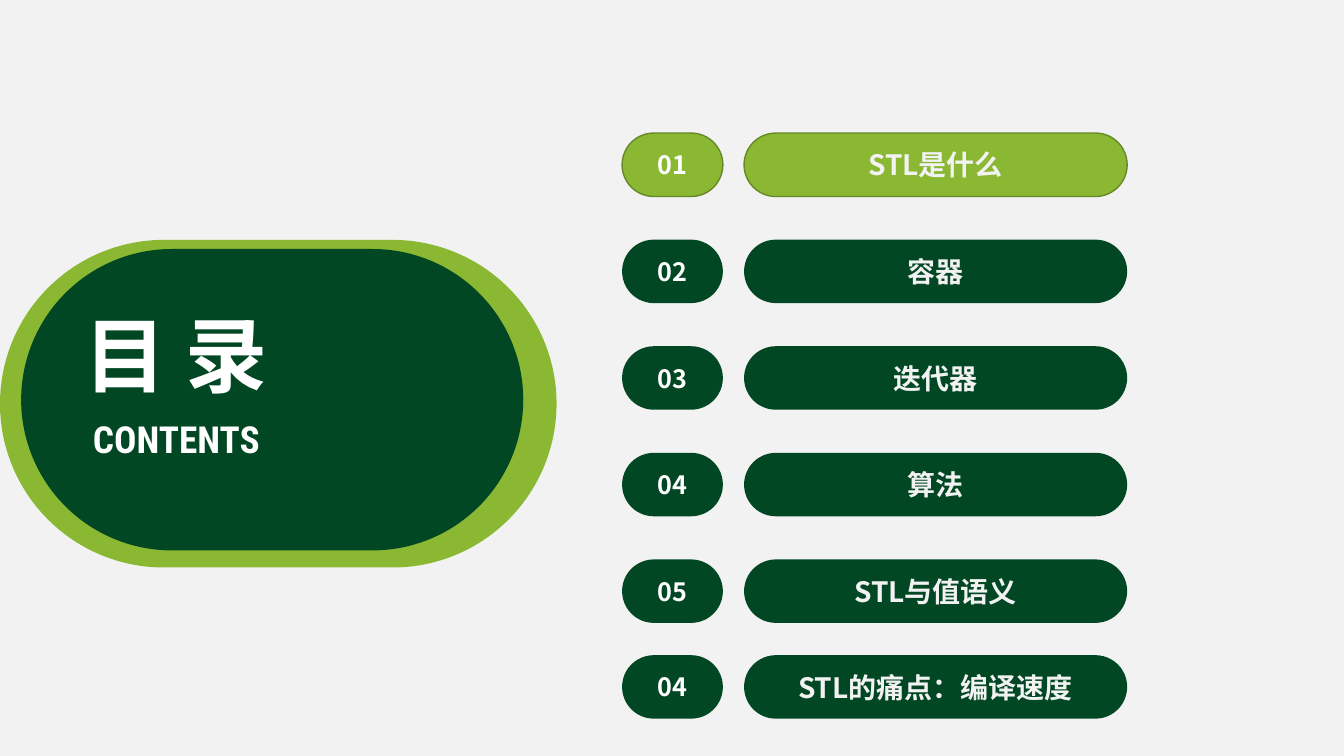
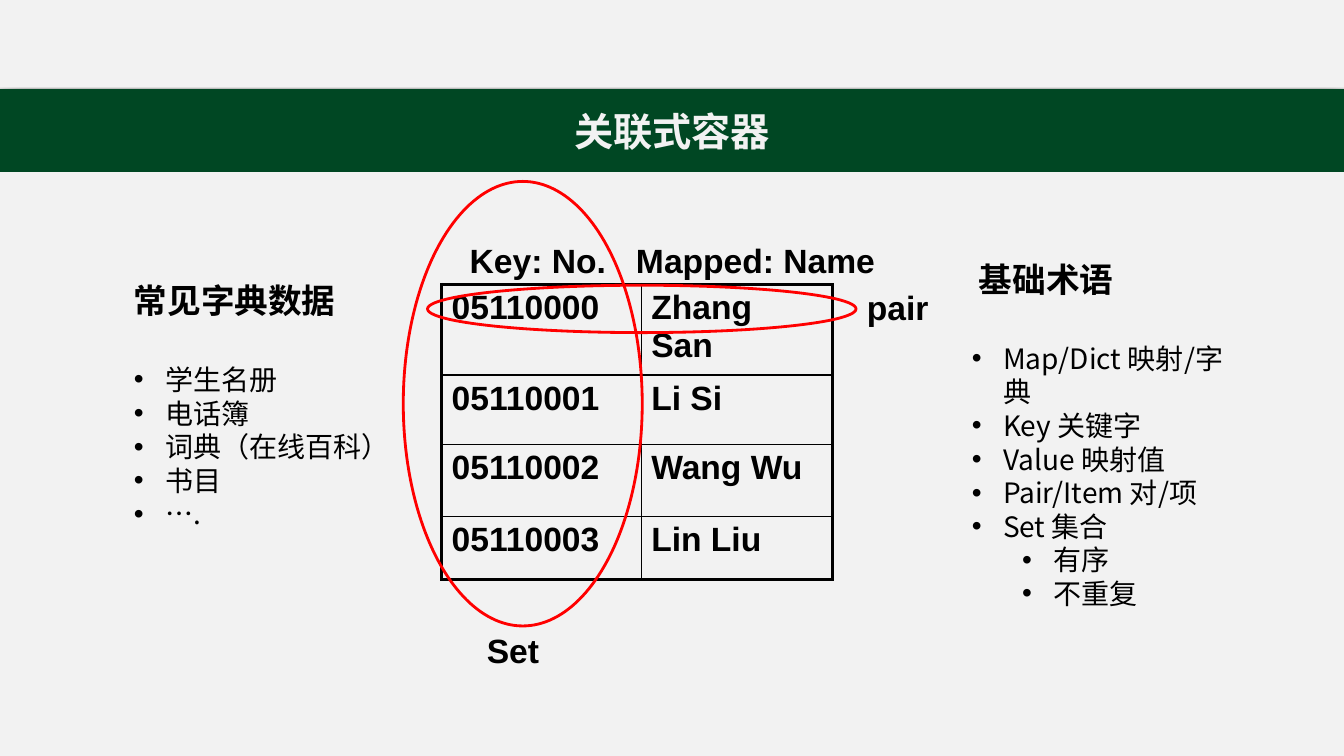
from dataclasses import dataclass
from typing import Any

from lxml import etree
from pptx import Presentation
from pptx import util as u
from pptx.dml.color import RGBColor
from pptx.enum import shapes, text
from pptx.oxml.ns import qn

PAPER, WHITE, BLACK, RED = "F2F2F2", "FFFFFF", "000000", "FF0000"
LIME, LIME_EDGE, FOREST, BAND = "8AB833", "668826", "014723", "004723"
CJK, LATIN, CONDENSED = "Noto Sans CJK SC", "Arial", "Roboto Condensed"
WIDTH, HEIGHT = 13.33, 7.5

NUMBER = {"size": u.Pt(18), "bold": True, "name": CJK}
ENTRY = {"size": u.Pt(20), "bold": True, "name": CJK}
ITEM = {"size": u.Pt(20), "bold": False, "name": CJK}
HEADING = {"size": u.Pt(24), "bold": True, "name": CJK}
TITLE = {"size": u.Pt(28), "bold": True, "name": CJK}
CONTENTS_CJK = {"size": u.Pt(58.6), "bold": True, "name": CJK}
CONTENTS_LATIN = {"size": u.Pt(26.6), "bold": True, "name": CONDENSED}
LABEL = {"size": u.Pt(24), "bold": True, "name": LATIN}

KIND = shapes.MSO_SHAPE
ALIGN = text.PP_ALIGN
ANCHOR = text.MSO_ANCHOR


@dataclass
class Area:
    left: float
    top: float
    width: float
    height: float

    def lengths(self) -> list[int]:
        return [u.Inches(v) for v in (self.left, self.top, self.width, self.height)]


@dataclass
class Chapter:
    number: str
    name: str
    top: float
    active: bool = False


@dataclass
class Label:
    words: str
    area: Area


@dataclass
class BulletList:
    heading: str
    heading_indent: float
    area: Area
    items: list[tuple[int, str]]


FIRST_TOP, PITCH = 1.32, 1.0575
CHAPTERS = [
    Chapter(f"{i + 1:02}", name, FIRST_TOP + i * PITCH, i == 0)
    for i, name in enumerate(["STL是什么", "容器", "迭代器", "算法", "STL与值语义"])
] + [Chapter("04", "STL的痛点：编译速度", 6.5)]

STUDENTS = [
    ("05110000", "Zhang San"),
    ("05110001", "Li Si"),
    ("05110002", "Wang Wu"),
    ("05110003", "Lin Liu"),
]
LABELS = [
    Label("Key: No.", Area(4.56, 2.33, 1.65, 0.5)),
    Label("Mapped: Name", Area(6.21, 2.33, 2.66, 0.5)),
    Label("pair", Area(8.5, 2.8, 0.9, 0.5)),
    Label("Set", Area(4.73, 6.2, 0.82, 0.5)),
]
RINGS = [Area(4.24, 2.83, 4.25, 0.47), Area(4, 1.8, 2.37, 4.41)]
LISTS = [
    BulletList("常见字典数据", 0, Area(1.23, 2.73, 2.9, 2.89), [
        (0, "学生名册"), (0, "电话簿"), (0, "词典（在线百科）"), (0, "书目"), (0, "…."),
    ]),
    BulletList("基础术语", 0.07, Area(9.54, 2.52, 2.94, 3.26), [
        (0, "Map/Dict 映射/字典"), (0, "Key 关键字"), (0, "Value 映射值"),
        (0, "Pair/Item 对/项"), (0, "Set 集合"), (1, "有序"), (1, "不重复"),
    ]),
]


def rgb(code: str) -> RGBColor:
    return RGBColor.from_string(code)


def add_child(parent: Any, tag: str, **values: Any) -> Any:
    child = etree.SubElement(parent, qn(tag))
    for key, value in values.items():
        child.set(key, str(value))
    return child


def write(para: Any, words: str, style: dict[str, Any], color: str) -> None:
    span = para.add_run()
    span.text = words
    for key, value in style.items():
        setattr(span.font, key, value)
    span.font.color.rgb = rgb(color)
    add_child(span._r.get_or_add_rPr(), "a:ea", typeface=style["name"])


def add_figure(page: Any, kind: Any, area: Area, fill: str = "",
               line: str = "", weight: float = 1) -> Any:
    figure = page.shapes.add_shape(kind, *area.lengths())
    figure.shadow.inherit = False
    if kind == KIND.ROUNDED_RECTANGLE:
        figure.adjustments[0] = 0.5
    if fill:
        figure.fill.solid()
        figure.fill.fore_color.rgb = rgb(fill)
    else:
        figure.fill.background()
    if line:
        figure.line.color.rgb = rgb(line)
        figure.line.width = u.Pt(weight)
    else:
        figure.line.fill.background()
    return figure


def caption(figure: Any, words: str, style: dict[str, Any], color: str) -> None:
    figure.text_frame.vertical_anchor = ANCHOR.MIDDLE
    para = figure.text_frame.paragraphs[0]
    para.alignment = ALIGN.CENTER
    write(para, words, style, color)


def add_text(page: Any, area: Area, words: str, style: dict[str, Any], color: str,
             align: Any = ALIGN.LEFT, anchor: Any = ANCHOR.TOP) -> Any:
    box = page.shapes.add_textbox(*area.lengths())
    box.text_frame.word_wrap = False
    box.text_frame.vertical_anchor = anchor
    para = box.text_frame.paragraphs[0]
    para.alignment = align
    write(para, words, style, color)
    return box


def add_title_band(page: Any, title: str) -> None:
    strip = add_figure(page, KIND.RECTANGLE, Area(0, 0, WIDTH, 0.87), PAPER)
    effects = strip._element.spPr.find(qn("a:effectLst"))
    shadow = add_child(effects, "a:outerShdw", blurRad=u.Pt(18), dist=u.Pt(4),
                       dir=90 * 60000, algn="t", rotWithShape=0)
    add_child(add_child(shadow, "a:srgbClr", val=BLACK), "a:alpha", val=29000)
    band = add_figure(page, KIND.RECTANGLE, Area(0, 0.89, WIDTH, 0.81), BAND, BAND)
    caption(band, title, TITLE, PAPER)


def add_bullet_list(page: Any, content: BulletList) -> None:
    box = add_text(page, content.area, content.heading, HEADING, BLACK)
    frame = box.text_frame
    frame.word_wrap = True
    heading = frame.paragraphs[0]
    heading.line_spacing = u.Pt(28.8)
    heading._p.get_or_add_pPr().set("marL", str(u.Inches(content.heading_indent)))
    for index, (level, words) in enumerate(content.items):
        para = frame.add_paragraph()
        para.level = level
        para.line_spacing = u.Pt(24)
        para.space_before = u.Pt(0 if index else 30)
        props = para._p.get_or_add_pPr()
        props.set("marL", str(u.Inches(0.31 + 0.5 * level)))
        props.set("indent", str(u.Inches(-0.31)))
        add_child(props, "a:buFont", typeface=LATIN)
        add_child(props, "a:buChar", char="•")
        write(para, words, ITEM, BLACK)


def set_borders(cell: Any, weights: dict[str, float]) -> None:
    props = cell._tc.get_or_add_tcPr()
    for side, weight in weights.items():
        edge = add_child(props, f"a:ln{side}", w=u.Pt(weight))
        add_child(add_child(edge, "a:solidFill"), "a:srgbClr", val=BLACK)


def add_student_table(page: Any) -> None:
    widths, heights = [1.98, 1.9], [0.64, 0.69, 0.71, 0.63]
    area = Area(4.38, 2.82, sum(widths), sum(heights))
    table = page.shapes.add_table(len(heights), len(widths), *area.lengths()).table
    table.first_row = table.horz_banding = False
    for column, width in zip(table.columns, widths):
        column.width = u.Inches(width)
    for row, height in zip(table.rows, heights):
        row.height = u.Inches(height)
    thin, thick = 1, 2.25
    for r, record in enumerate(STUDENTS):
        for c, words in enumerate(record):
            cell = table.cell(r, c)
            set_borders(cell, {
                "L": thick if c == 0 else thin,
                "R": thick if c == len(widths) - 1 else thin,
                "T": thick if r == 0 else thin,
                "B": thick if r == len(heights) - 1 else thin,
            })
            cell.fill.background()
            write(cell.text_frame.paragraphs[0], words, LABEL, BLACK)


def build_contents(page: Any) -> None:
    pill = KIND.ROUNDED_RECTANGLE
    add_figure(page, pill, Area(0, 2.38, 5.52, 3.25), LIME)
    add_figure(page, pill, Area(0.21, 2.47, 4.98, 2.99), FOREST)
    heading = add_text(page, Area(0.7, 2.98, 2.09, 1.09), "目 录", CONTENTS_CJK, WHITE,
                       ALIGN.CENTER)
    heading.text_frame.paragraphs[0].line_spacing = u.Pt(70)
    add_text(page, Area(0.62, 4.08, 2.26, 0.55), "CONTENTS", CONTENTS_LATIN, WHITE,
             ALIGN.CENTER)
    for chapter in CHAPTERS:
        fill, line = (LIME, LIME_EDGE) if chapter.active else (FOREST, "")
        badge = add_figure(page, pill, Area(6.17, chapter.top, 1, 0.63), fill, line)
        caption(badge, chapter.number, NUMBER, WHITE)
        bar = add_figure(page, pill, Area(7.38, chapter.top, 3.8, 0.63), fill, line)
        caption(bar, chapter.name, ENTRY, PAPER)


def build_containers(page: Any) -> None:
    add_title_band(page, "关联式容器")
    add_student_table(page)
    for ring in RINGS:
        add_figure(page, KIND.OVAL, ring, line=RED, weight=2)
    for label in LABELS:
        add_text(page, label.area, label.words, LABEL, BLACK, anchor=ANCHOR.MIDDLE)
    for content in LISTS:
        add_bullet_list(page, content)


def main() -> None:
    deck = Presentation()
    deck.slide_width, deck.slide_height = u.Inches(WIDTH), u.Inches(HEIGHT)
    backdrop = deck.slide_master.background.fill
    backdrop.solid()
    backdrop.fore_color.rgb = rgb(PAPER)
    for build in (build_contents, build_containers):
        build(deck.slides.add_slide(deck.slide_layouts[6]))
    deck.save("out.pptx")


if __name__ == "__main__":
    main()
